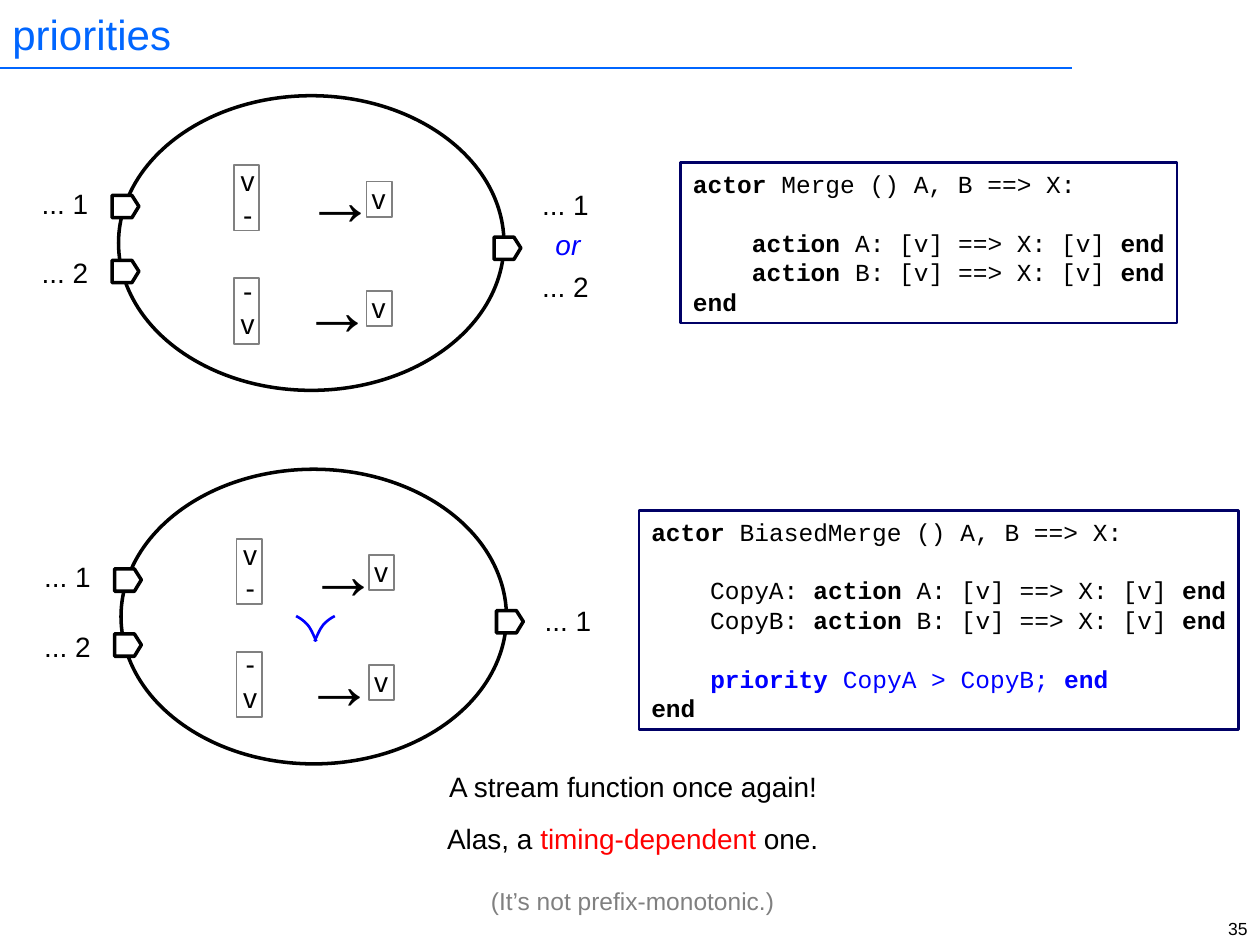
from typing import NamedTuple

from lxml import etree
from pptx import Presentation
from pptx.dml.color import RGBColor
from pptx.enum.shapes import MSO_CONNECTOR, MSO_SHAPE
from pptx.enum.text import MSO_ANCHOR, PP_ALIGN
from pptx.oxml.ns import qn
from pptx.util import Cm, Pt

BLACK = RGBColor(0x00, 0x00, 0x00)
WHITE = RGBColor(0xFF, 0xFF, 0xFF)
GRAY = RGBColor(0x80, 0x80, 0x80)
RED = RGBColor(0xFF, 0x00, 0x00)
BLUE = RGBColor(0x00, 0x00, 0xFF)
NAVY = RGBColor(0x00, 0x00, 0x66)
TITLE_BLUE = RGBColor(0x00, 0x66, 0xFF)

CODE_LEADING = 16.8
CELL_WIDTH, CELL_TEXT_WIDTH = 0.51, 0.79
LABEL_WIDTH, LINE_HEIGHT = 1.45, 0.94


class Box(NamedTuple):
    """Left, top, width and height in centimetres."""
    left: float
    top: float
    width: float
    height: float

    def moved(self, dx, dy):
        return Box(self.left + dx, self.top + dy, self.width, self.height)

    def lengths(self):
        return [Cm(value) for value in self]


class Line(NamedTuple):
    """A paragraph; parts between double asterisks are accented."""
    text: str
    color: RGBColor | None = None
    size: float | None = None
    gap: float = 0


class Cell(NamedTuple):
    text: str
    frame: Box
    text_box: Box


class Actor(NamedTuple):
    dx: float
    dy: float
    results: list[tuple[str, float]]


INPUT_CELLS = [
    Cell("v\n-", Box(4.72, 3.33, CELL_WIDTH, 1.32), Box(4.6, 3.18, CELL_TEXT_WIDTH, 1.63)),
    Cell("-\nv", Box(4.72, 5.61, CELL_WIDTH, 1.32), Box(4.6, 5.38, CELL_TEXT_WIDTH, 1.63)),
]
OUTPUT_CELLS = [
    Cell("v", Box(7.39, top, CELL_WIDTH, 0.71),
         Box(7.24, top - 0.13, CELL_TEXT_WIDTH, LINE_HEIGHT))
    for top in (3.66, 5.87)
]
ARROWS = [Box(5.92, 3.02, 1.02, 1.96), Box(5.84, 5.23, 1.02, 1.96)]
PORTS = [(9.96, 4.78), (2.26, 3.94), (2.26, 5.25)]
INPUTS = [("... 1", 3.63), ("... 2", 5.03)]
ACTORS = [
    Actor(0, 0, [("... 1", 3.66), ("... 2", 5.31)]),
    Actor(0.05, 7.53, [("... 1", 4.51)]),
]
CHEVRON_CURVES = [
    [(5.97, 12.42), (6.07, 12.47), (6.17, 12.55), (6.22, 12.62)],
    [(6.22, 12.62), (6.3, 12.73), (6.35, 12.88), (6.38, 12.93)],
]
CHEVRON_AXIS = 6.36

MERGE_CODE = [
    Line("**actor** Merge () A, B ==> X:"),
    Line("    **action** A: [v] ==> X: [v] **end**", gap=CODE_LEADING),
    Line("    **action** B: [v] ==> X: [v] **end**"),
    Line("**end**"),
]
BIASED_MERGE_CODE = [
    Line("**actor** BiasedMerge () A, B ==> X:"),
    Line("    CopyA: **action** A: [v] ==> X: [v] **end**", gap=CODE_LEADING),
    Line("    CopyB: **action** B: [v] ==> X: [v] **end**"),
    Line("    **priority** CopyA > CopyB; **end**", color=BLUE, gap=CODE_LEADING),
    Line("**end**"),
]


def write(shape, content: str | list[Line], *, size=16.0, font="Arial", color=BLACK,
          align=PP_ALIGN.LEFT, anchor=MSO_ANCHOR.TOP, wrap=False, italic=False,
          accent_bold=False, accent_color=None, leading=None) -> None:
    frame = shape.text_frame
    frame.word_wrap = wrap
    frame.vertical_anchor = anchor
    lines = [Line(text) for text in content.split("\n")] if isinstance(content, str) else content
    for index, line in enumerate(lines):
        paragraph = frame.add_paragraph() if index else frame.paragraphs[0]
        paragraph.alignment = align
        if line.gap:
            paragraph.space_before = Pt(line.gap)
        if leading:
            paragraph.line_spacing = Pt(leading)
        for part, text in enumerate(line.text.split("**")):
            if not text:
                continue
            accented = part % 2 == 1
            run = paragraph.add_run()
            run.text = text
            run.font.name = font
            run.font.size = Pt(line.size or size)
            run.font.bold = accented and accent_bold
            run.font.italic = italic
            run.font.color.rgb = (accented and accent_color) or line.color or color


def add_text(shapes, box: Box, content: str | list[Line], **text_format) -> None:
    write(shapes.add_textbox(*box.lengths()), content, **text_format)


def style(shape, line_color: RGBColor, width: float, fill: RGBColor | None = None) -> None:
    shape.shadow.inherit = False
    shape.line.color.rgb = line_color
    shape.line.width = Pt(width)
    if fill is None:
        shape.fill.background()
    else:
        shape.fill.solid()
        shape.fill.fore_color.rgb = fill


def add_outline(shapes, points: list[tuple[float, float]], close: bool):
    start, *rest = [(Cm(x), Cm(y)) for x, y in points]
    builder = shapes.build_freeform(*start)
    builder.add_line_segments(rest, close=close)
    return builder.convert_to_shape()


def add_port(shapes, left: float, top: float) -> None:
    offsets = [(0, 0), (0.4, 0), (0.54, 0.22), (0.4, 0.45), (0, 0.45)]
    port = add_outline(shapes, [(left + x, top + y) for x, y in offsets], close=True)
    style(port, BLACK, 2, WHITE)


def add_cell(shapes, cell: Cell, dx: float, dy: float) -> None:
    group = shapes.add_group_shape()
    frame = group.shapes.add_shape(MSO_SHAPE.RECTANGLE, *cell.frame.moved(dx, dy).lengths())
    style(frame, GRAY, 1)
    add_text(group.shapes, cell.text_box.moved(dx, dy), cell.text, align=PP_ALIGN.CENTER)


def add_actor(shapes, actor: Actor) -> None:
    dx, dy = actor.dx, actor.dy
    body = Box(2.39, 1.93, 7.77, 5.94).moved(dx, dy)
    style(shapes.add_shape(MSO_SHAPE.OVAL, *body.lengths()), BLACK, 2, WHITE)
    for left, top in PORTS:
        add_port(shapes, left + dx, top + dy)
    for arrow in ARROWS:
        add_text(shapes, arrow.moved(dx, dy), "→", size=40, align=PP_ALIGN.RIGHT)
    for cell in INPUT_CELLS + OUTPUT_CELLS:
        add_cell(shapes, cell, dx, dy)
    for left, labels in ((0.58, INPUTS), (10.67, actor.results)):
        for text, top in labels:
            label = Box(left, top, LABEL_WIDTH, LINE_HEIGHT).moved(dx, dy)
            add_text(shapes, label, text, align=PP_ALIGN.RIGHT)


def add_code(shapes, box: Box, lines: list[Line]) -> None:
    panel = shapes.add_shape(MSO_SHAPE.RECTANGLE, *box.lengths())
    style(panel, NAVY, 1.5, WHITE)
    write(panel, lines, size=14, font="Courier New", accent_bold=True, leading=CODE_LEADING)


def curve_points(controls: list[tuple[float, float]], steps: int = 8) -> list[tuple[float, float]]:
    """Sample a cubic Bézier curve."""
    points = []
    for step in range(steps + 1):
        t = step / steps
        weights = ((1 - t) ** 3, 3 * t * (1 - t) ** 2, 3 * t * t * (1 - t), t ** 3)
        points.append(tuple(sum(w * p[axis] for w, p in zip(weights, controls))
                            for axis in (0, 1)))
    return points


def add_chevron(shapes) -> None:
    """Draw the precedence sign as two mirrored arms."""
    group = shapes.add_group_shape()
    upper, lower = map(curve_points, CHEVRON_CURVES)
    left_arm = upper + lower[1:]
    right_arm = [(2 * CHEVRON_AXIS - x, y) for x, y in left_arm]
    for arm in (left_arm, right_arm):
        style(add_outline(group.shapes, arm, close=False), BLUE, 1.5)


def add_title(shapes) -> None:
    rule = shapes.add_connector(MSO_CONNECTOR.STRAIGHT, Cm(0), Cm(1.37), Cm(21.62), Cm(1.37))
    rule.line.color.rgb = TITLE_BLUE
    rule.line.width = Pt(1)
    etree.SubElement(rule._element.spPr, qn("a:effectLst"))
    add_text(shapes, Box(0, 0, 21.97, 1.35), "priorities", size=24, color=TITLE_BLUE,
             anchor=MSO_ANCHOR.MIDDLE, wrap=True)


def main() -> None:
    presentation = Presentation()
    presentation.slide_width, presentation.slide_height = Cm(25.4), Cm(19.05)
    shapes = presentation.slides.add_slide(presentation.slide_layouts[6]).shapes
    add_title(shapes)
    for actor in ACTORS:
        add_actor(shapes, actor)
    add_text(shapes, Box(10.71, 4.47, 1.24, LINE_HEIGHT), "or", color=BLUE, italic=True,
             align=PP_ALIGN.RIGHT)
    add_chevron(shapes)
    add_code(shapes, Box(13.72, 3.28, 10.01, 3.23), MERGE_CODE)
    add_code(shapes, Box(12.88, 10.29, 12.09, 4.42), BIASED_MERGE_CODE)
    add_text(shapes, Box(8.79, 15.39, 7.95, LINE_HEIGHT), "A stream function once again!",
             align=PP_ALIGN.CENTER)
    remarks = [Line("Alas, a **timing-dependent** one."),
               Line("(It’s not prefix-monotonic.)", color=GRAY, size=14, gap=18)]
    add_text(shapes, Box(8.69, 16.43, 8.13, 2.13), remarks, accent_color=RED,
             align=PP_ALIGN.CENTER)
    add_text(shapes, Box(23.04, 18.39, 2.36, 0.58), "35", size=10, align=PP_ALIGN.RIGHT, wrap=True)
    presentation.save("out.pptx")


if __name__ == "__main__":
    main()
